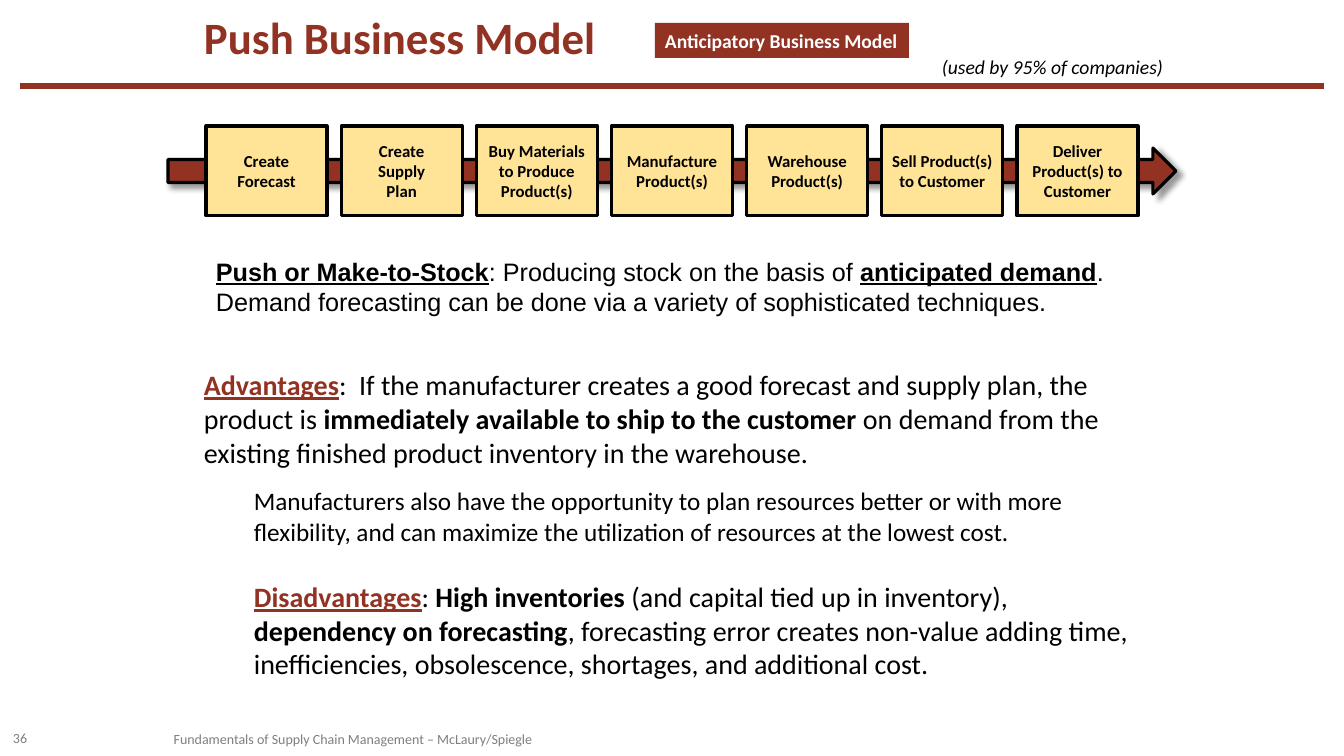
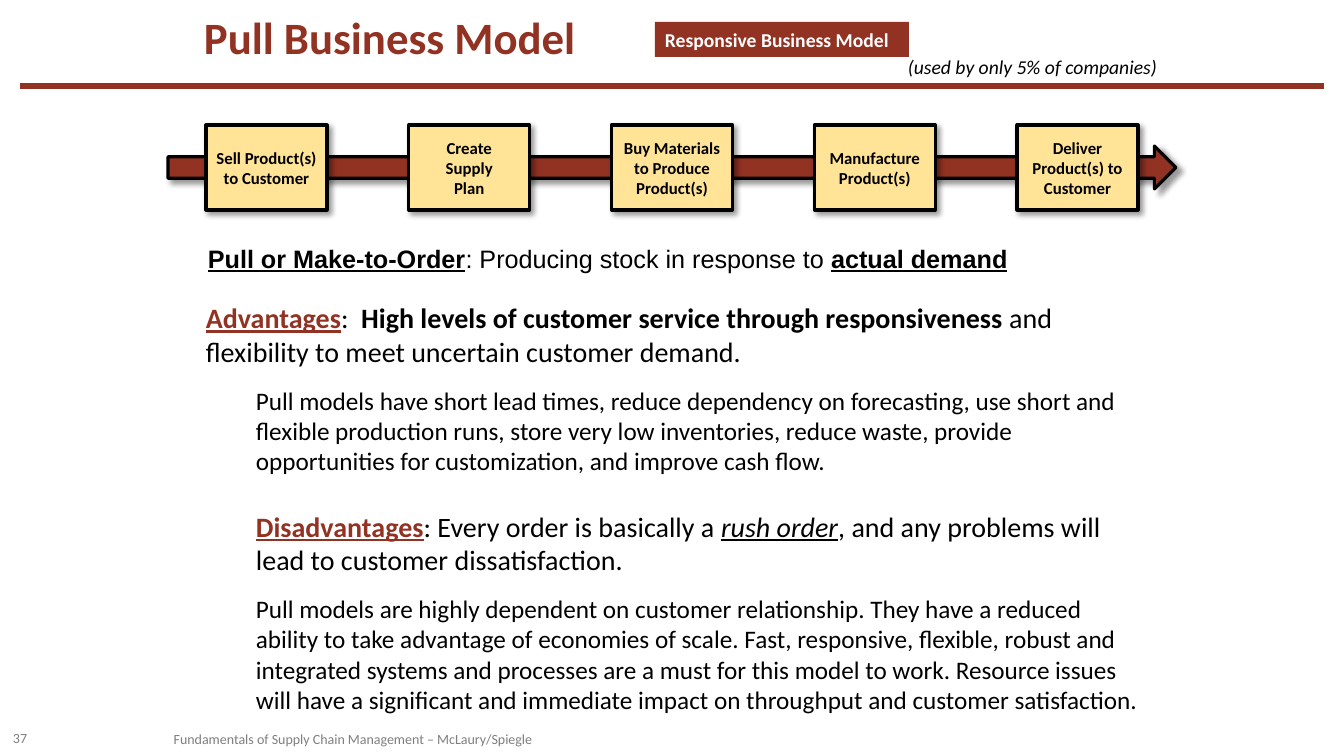
from collections import namedtuple

from lxml import etree
from pptx import Presentation
from pptx.dml.color import RGBColor
from pptx.enum.shapes import MSO_CONNECTOR, MSO_SHAPE
from pptx.enum.text import MSO_ANCHOR, MSO_AUTO_SIZE, PP_ALIGN
from pptx.oxml.ns import qn
from pptx.util import Emu, Pt

COLORS = {
    "accent": "923222",
    "step": "FFE497",
    "ink": "000000",
    "paper": "FFFFFF",
    "muted": "7F7F7F",
}
FOOTER = "Fundamentals of Supply Chain Management – McLaury/Spiegle"
TEXT_INDENT = 50
STEP_WIDTH = 121

Box = namedtuple("Box", "left top width height")
Passage = namedtuple("Passage", "runs size indent before", defaults=(20, 0, 0))


def px(value):
    return Emu(round(value * 914400 / 100.8))


def rgb(name):
    return RGBColor.from_string(COLORS[name])


def place(shape, box):
    shape.left, shape.top, shape.width, shape.height = map(px, box)


def style_font(font, size, color="ink", name="Calibri", bold=False, italic=False):
    font.name = name
    font.size = Pt(size)
    font.color.rgb = rgb(color)
    font.bold = bold
    font.italic = italic


def add_runs(paragraph, runs, size, name="Calibri"):
    for text, marks in runs:
        run = paragraph.add_run()
        run.text = text
        color = "accent" if "a" in marks else "ink"
        style_font(run.font, size, color, name, "b" in marks, "i" in marks)
        run.font.underline = "u" in marks


def add_text_frame(slide, box):
    frame = slide.shapes.add_textbox(*map(px, box)).text_frame
    frame.word_wrap = True
    return frame


def add_filled_shape(slide, kind, box, fill, outlined=True, shadowed=False):
    shape = slide.shapes.add_shape(kind, *map(px, box))
    shape.fill.solid()
    shape.fill.fore_color.rgb = rgb(fill)
    if outlined:
        shape.line.color.rgb = rgb("ink")
        shape.line.width = Pt(2.25)
    else:
        shape.line.fill.background()
    shape.shadow.inherit = False
    if shadowed:
        add_shadow(shape)
    return shape


def add_shadow(shape):
    effects = shape.element.spPr.find(qn("a:effectLst"))
    shadow = etree.SubElement(
        effects, qn("a:outerShdw"), blurRad=str(Pt(4)), dist=str(Pt(3)),
        dir="2700000", algn="tl", rotWithShape="0",
    )
    color = etree.SubElement(shadow, qn("a:srgbClr"), val=COLORS["ink"])
    etree.SubElement(color, qn("a:alpha"), val="40000")


def add_layout_rule(slide):
    rule = slide.shapes.add_connector(
        MSO_CONNECTOR.STRAIGHT, px(20), px(86), px(1324), px(86)
    )
    rule.line.color.rgb = rgb("accent")
    rule.line.width = Pt(4.5)
    etree.SubElement(rule.element.spPr, qn("a:effectLst"))
    rule.element.find(".//" + qn("p:cNvPr")).set("id", "100")
    slide.slide_layout.shapes.element.append(rule.element)


def add_title(slide, text, box):
    title = slide.shapes.title
    place(title, box)
    frame = title.text_frame
    frame.text = text
    frame.vertical_anchor = MSO_ANCHOR.BOTTOM
    frame.auto_size = MSO_AUTO_SIZE.NONE
    frame.margin_left = frame.margin_right = px(10)
    frame.margin_top = frame.margin_bottom = px(5)
    paragraph = frame.paragraphs[0]
    paragraph.alignment = PP_ALIGN.LEFT
    paragraph.line_spacing = 0.8
    style_font(paragraph.runs[0].font, 32, "accent", bold=True)


def add_badge(slide, text, box):
    badge = add_filled_shape(slide, MSO_SHAPE.RECTANGLE, box, "accent", outlined=False)
    frame = badge.text_frame
    frame.text = text
    frame.vertical_anchor = MSO_ANCHOR.MIDDLE
    paragraph = frame.paragraphs[0]
    paragraph.alignment = PP_ALIGN.LEFT
    style_font(paragraph.runs[0].font, 14, "paper", bold=True)


def add_usage_note(slide, text, box):
    frame = add_text_frame(slide, box)
    frame.word_wrap = False
    frame.auto_size = MSO_AUTO_SIZE.SHAPE_TO_FIT_TEXT
    frame.text = text
    style_font(frame.paragraphs[0].runs[0].font, 14, italic=True)


def add_process(slide, steps, box, arrow_height, shadowed):
    arrow_top = box.top + (box.height - arrow_height) / 2
    arrow = Box(box.left - 38, arrow_top, box.width + 76, arrow_height)
    add_filled_shape(slide, MSO_SHAPE.RIGHT_ARROW, arrow, "accent", shadowed=True)
    pitch = (box.width - STEP_WIDTH) / (len(steps) - 1)
    for index, text in enumerate(steps):
        step_box = Box(box.left + index * pitch, box.top, STEP_WIDTH, box.height)
        step = add_filled_shape(
            slide, MSO_SHAPE.RECTANGLE, step_box, "step", shadowed=shadowed
        )
        frame = step.text_frame
        frame.text = text
        frame.vertical_anchor = MSO_ANCHOR.MIDDLE
        for paragraph in frame.paragraphs:
            paragraph.alignment = PP_ALIGN.CENTER
            style_font(paragraph.runs[0].font, 12, bold=True)


def add_definition(slide, runs, box):
    frame = add_text_frame(slide, box)
    add_runs(frame.paragraphs[0], runs, 18, "Arial")


def add_discussion(slide, passages, box):
    frame = add_text_frame(slide, box)
    for index, passage in enumerate(passages):
        paragraph = frame.add_paragraph() if index else frame.paragraphs[0]
        paragraph.space_before = Pt(passage.before)
        paragraph.space_after = Pt(6)
        properties = paragraph._p.get_or_add_pPr()
        properties.set("marL", str(px(passage.indent)))
        properties.set("indent", "0")
        add_runs(paragraph, passage.runs, passage.size)


def add_footer(slide, number):
    items = (
        (FOOTER, Box(42, 729, 490, 19), PP_ALIGN.RIGHT),
        (str(number), Box(13, 728, 28, 19), PP_ALIGN.LEFT),
    )
    for text, box, alignment in items:
        frame = add_text_frame(slide, box)
        frame.margin_left = frame.margin_right = 0
        frame.margin_top = frame.margin_bottom = 0
        frame.vertical_anchor = MSO_ANCHOR.MIDDLE
        frame.text = text
        frame.paragraphs[0].alignment = alignment
        style_font(frame.paragraphs[0].runs[0].font, 10, "muted")


def detail(text):
    return Passage([(text, "")], size=18, indent=TEXT_INDENT, before=6)


def disadvantages(*runs):
    return Passage([("Disadvantages", "abu"), *runs], indent=TEXT_INDENT, before=18)


SUPPLY_PLAN = "Create\nSupply\nPlan"
BUY = "Buy Materials to Produce Product(s)"
MANUFACTURE = "Manufacture\nProduct(s)"
SELL = "Sell Product(s) to Customer"
DELIVER = "Deliver Product(s) to Customer"

MODELS = [
    {
        "number": 36,
        "title": "Push Business Model",
        "badge": ("Anticipatory Business Model", Box(655, 23, 254, 35)),
        "usage": ("(used by 95% of companies)", Box(932, 50, 244, 34)),
        "steps": ["Create Forecast", SUPPLY_PLAN, BUY, MANUFACTURE,
                  "Warehouse\nProduct(s)", SELL, DELIVER],
        "process": (Box(206, 126, 932, 90), 46, False),
        "definition": (
            [("Push or Make-to-Stock", "bu"),
             (": Producing stock on the basis of ", ""),
             ("anticipated demand", "bu"),
             (". Demand forecasting can be done via a variety of "
              "sophisticated techniques.", "")],
            Box(206, 251, 946, 72),
        ),
        "discussion": (
            [Passage([
                ("Advantages", "abu"),
                (":  If the manufacturer creates a good forecast and supply "
                 "plan, the product is ", ""),
                ("immediately available to ship to the customer ", "b"),
                ("on demand from the existing finished product inventory in "
                 "the warehouse.", "")]),
             detail("Manufacturers also have the opportunity to plan resources "
                    "better or with more flexibility, and can maximize the "
                    "utilization of resources at the lowest cost."),
             disadvantages(
                 (": ", ""),
                 ("High inventories ", "b"),
                 ("(and capital tied up in inventory), ", ""),
                 ("dependency on forecasting", "b"),
                 (", forecasting error creates non-value adding time, "
                  "inefficiencies, obsolescence, shortages, and additional "
                  "cost.", ""))],
            Box(194, 363, 958, 326),
        ),
    },
    {
        "number": 37,
        "title": "Pull Business Model",
        "badge": ("Responsive Business Model", Box(655, 22, 254, 35)),
        "usage": ("(used by only 5% of companies)", Box(898, 50, 271, 34)),
        "steps": [SELL, SUPPLY_PLAN, BUY, MANUFACTURE, DELIVER],
        "process": (Box(206, 125, 932, 85), 43, True),
        "definition": (
            [("Pull or Make-to-Order", "bu"),
             (": Producing stock in response to ", ""),
             ("actual demand", "bu")],
            Box(198, 238, 953, 40),
        ),
        "discussion": (
            [Passage([
                ("Advantages", "abu"),
                (":  ", ""),
                ("High levels of customer service through responsiveness ", "b"),
                ("and flexibility to meet uncertain customer demand.", "")]),
             detail("Pull models have short lead times, reduce dependency on "
                    "forecasting, use short and flexible production runs, store "
                    "very low inventories, reduce waste, provide opportunities "
                    "for customization, and improve cash flow."),
             disadvantages(
                 (": Every order is basically a ", ""),
                 ("rush order", "iu"),
                 (", and any problems will lead to customer "
                  "dissatisfaction.", "")),
             detail("Pull models are highly dependent on customer relationship. "
                    "They have a reduced ability to take advantage of economies "
                    "of scale. Fast, responsive, flexible, robust and integrated "
                    "systems and processes are a must for this model to work. "
                    "Resource issues will have a significant and immediate "
                    "impact on throughput and customer satisfaction.")],
            Box(196, 296, 958, 427),
        ),
    },
]


def add_model_slide(presentation, model):
    slide = presentation.slides.add_slide(presentation.slide_layouts[5])
    add_title(slide, model["title"], Box(194, 15, 426, 53))
    add_badge(slide, *model["badge"])
    add_usage_note(slide, *model["usage"])
    add_process(slide, model["steps"], *model["process"])
    add_definition(slide, *model["definition"])
    add_discussion(slide, *model["discussion"])
    add_footer(slide, model["number"])
    return slide


def main():
    presentation = Presentation()
    presentation.slide_width = px(1344)
    presentation.slide_height = px(756)
    slides = [add_model_slide(presentation, model) for model in MODELS]
    add_layout_rule(slides[0])
    presentation.save("out.pptx")


if __name__ == "__main__":
    main()
